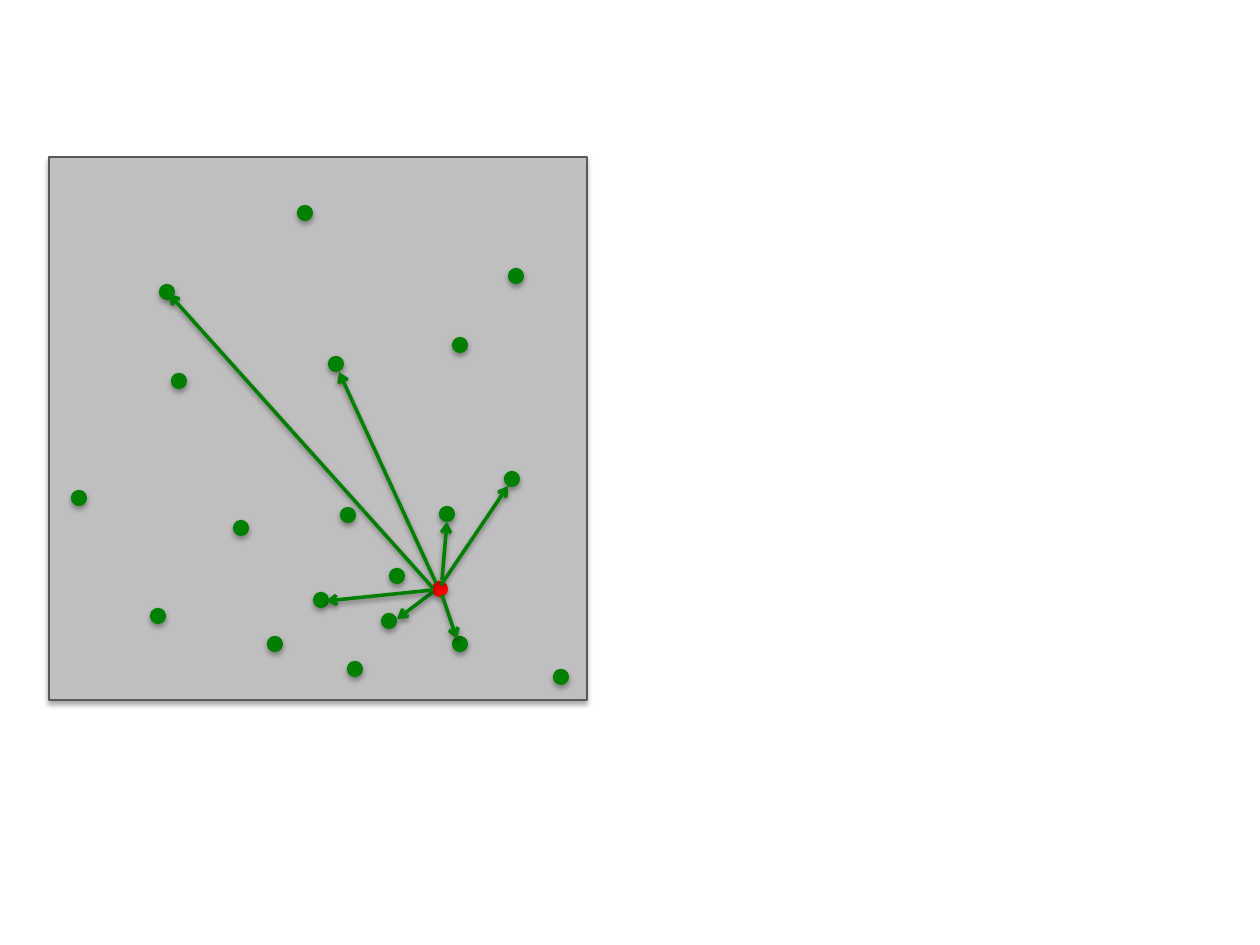
from lxml import etree
from pptx import Presentation, util as u
from pptx.dml.color import RGBColor
from pptx.enum import shapes as kinds
from pptx.oxml.ns import qn

SCALE = 914400 / 126
GREEN, RED, GREY, EDGE = "008000", "FF0000", "BFBFBF", "595959"
DOT = 15
FIELD_BOX = (49, 157, 538, 543)
SOURCE = (391, 432)
POINTS = [
    (109, 459), (192, 371), (398, 357), (411, 188), (118, 135), (512, 520),
    (30, 341), (287, 207), (272, 443), (463, 322), (340, 464), (256, 56),
    (411, 487), (467, 119), (299, 358), (226, 487), (306, 512), (130, 224),
    (348, 419),
]
ARROWS = [
    ((393, 423), (398, 365)), ((387, 426), (290, 215)),
    ((384, 431), (120, 137)), ((393, 438), (408, 482)),
    ((384, 435), (348, 462)), ((384, 433), (277, 444)),
    ((392, 428), (459, 329)),
]


def px(*lengths):
    """Turn picture pixels into EMU."""
    return [u.Emu(round(length * SCALE)) for length in lengths]


def color(value):
    """Turn a hex string into a colour."""
    return RGBColor.from_string(value)


def set_line(part, hue, width):
    """Give a part a solid line."""
    part.line.color.rgb = color(hue)
    part.line.width = u.Pt(width)


def add_shadow(part, opacity, distance):
    """Drop a soft black shadow straight below a part."""
    effects = etree.SubElement(part.element.spPr, qn("a:effectLst"))
    shadow = etree.SubElement(effects, qn("a:outerShdw"))
    values = {"blurRad": u.Pt(3.1), "dist": u.Pt(distance),
              "dir": 90 * 60000, "rotWithShape": 0}
    for key, value in values.items():
        shadow.set(key, str(int(value)))
    black = etree.SubElement(shadow, qn("a:srgbClr"), val="000000")
    etree.SubElement(black, qn("a:alpha"), val=str(opacity * 1000))


def add_area(group, preset, box, fill, edge):
    """Add a filled, shadowed shape to the group."""
    area = group.shapes.add_shape(preset, *px(*box))
    area.fill.solid()
    area.fill.fore_color.rgb = color(fill)
    set_line(area, edge, 0.75)
    add_shadow(area, 35, 1.8)


def add_field(slide, box):
    """Draw the square field with its red source and green points."""
    left, top = box[:2]
    field = slide.shapes.add_group_shape()
    add_area(field, kinds.MSO_SHAPE.RECTANGLE, box, GREY, EDGE)
    for (x, y), hue in [(SOURCE, RED)] + [(point, GREEN) for point in POINTS]:
        dot_box = (left + x - DOT / 2, top + y - DOT / 2, DOT, DOT)
        add_area(field, kinds.MSO_SHAPE.OVAL, dot_box, hue, hue)


def add_arrows(slide, box):
    """Draw the arrows from the source to the chosen points."""
    left, top = box[:2]
    for (x1, y1), (x2, y2) in ARROWS:
        arrow = slide.shapes.add_connector(
            kinds.MSO_CONNECTOR.STRAIGHT,
            *px(left + x1, top + y1, left + x2, top + y2))
        set_line(arrow, GREEN, 2)
        outline = arrow.element.spPr.find(qn("a:ln"))
        etree.SubElement(outline, qn("a:tailEnd"), type="arrow")
        add_shadow(arrow, 38, 1.6)


def build():
    """Build and save the slide."""
    deck = Presentation()
    deck.slide_width, deck.slide_height = px(1260, 945)
    slide = deck.slides.add_slide(deck.slide_layouts[6])
    add_field(slide, FIELD_BOX)
    add_arrows(slide, FIELD_BOX)
    deck.save("out.pptx")


build()
